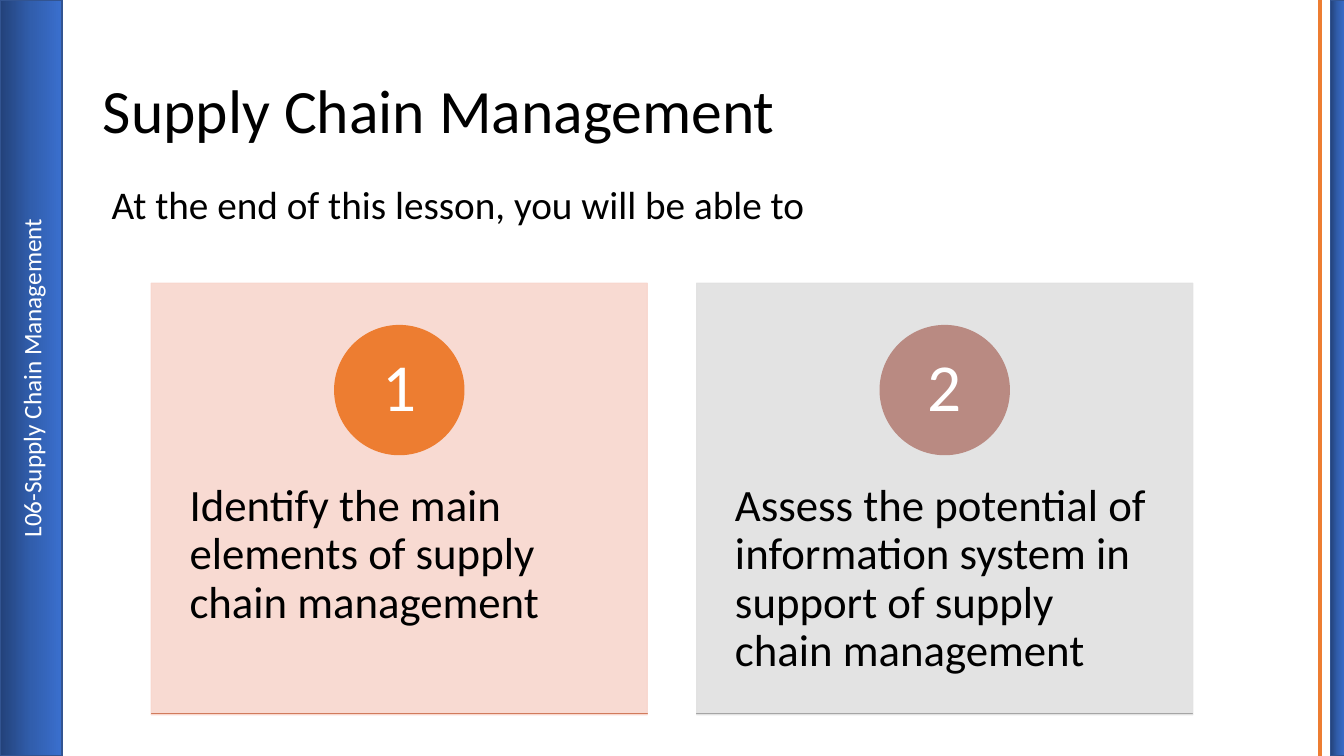
"""Build the Supply Chain Management lesson objectives slide."""
import copy

import pptx
import pptx.dml.color
import pptx.enum.shapes
import pptx.enum.text
import pptx.oxml
import pptx.oxml.ns
import pptx.util
from pptx.util import Inches

COLORS = {
    "black": "000000", "white": "FFFFFF", "orange": "ED7D31",
    "band_dark": "23427A", "band_mid": "315EAD", "band_light": "3A6FCE",
    "band_edge": "325491",
    "peach": "F8D7CE", "rust": "D17B5C",
    "silver": "E1E1E1", "rose": "B98A82", "gray": "A5A5A5",
}
SHAPE = pptx.enum.shapes.MSO_SHAPE
ANCHOR = pptx.enum.text.MSO_ANCHOR
ALIGN = pptx.enum.text.PP_ALIGN
qn = pptx.oxml.ns.qn


def add_block(kind, left, top, width, height, fill, edge):
    block = slide.shapes.add_shape(
        kind, Inches(left), Inches(top), Inches(width), Inches(height))
    block.shadow.inherit = False
    if fill:
        block.fill.solid()
        block.fill.fore_color.rgb = pptx.dml.color.RGBColor.from_string(COLORS[fill])
    block.line.color.rgb = pptx.dml.color.RGBColor.from_string(COLORS[edge])
    block.line.width = pptx.util.Pt(1)
    return block


def write(holder, words, size, color, align=ALIGN.LEFT, anchor=ANCHOR.TOP,
          insets=(0.1, 0.05), spacing=None):
    frame = holder.text_frame
    frame.word_wrap = True
    frame.vertical_anchor = anchor
    frame.margin_left = frame.margin_right = Inches(insets[0])
    frame.margin_top = frame.margin_bottom = Inches(insets[1])
    paragraph = frame.paragraphs[0]
    paragraph.alignment = align
    paragraph.line_spacing = spacing
    run = paragraph.add_run()
    run.text = words
    run.font.name = "Calibri"
    run.font.size = pptx.util.Pt(size)
    run.font.color.rgb = pptx.dml.color.RGBColor.from_string(COLORS[color])


deck = pptx.Presentation()
deck.slide_width, deck.slide_height = Inches(13.33), Inches(7.5)
slide = deck.slides.add_slide(deck.slide_layouts[5])

accent_rule = slide.shapes.add_connector(
    pptx.enum.shapes.MSO_CONNECTOR.STRAIGHT,
    Inches(13.09), Inches(0), Inches(13.09), Inches(7.5))
accent_rule.line.color.rgb = pptx.dml.color.RGBColor.from_string(COLORS["orange"])
accent_rule.line.width = pptx.util.Pt(3)
accent_rule._element.spPr.append(pptx.oxml.parse_xml(
    f'<a:effectLst {pptx.oxml.ns.nsdecls("a")}/>'))

for center, thickness, label in [(13.27, 0.15, None),
                                 (0.31, 0.61, "L06-Supply Chain Management")]:
    band = add_block(SHAPE.RECTANGLE, center - 3.75, 3.75 - thickness / 2,
                     7.5, thickness, None, "band_edge")
    band.rotation = 270
    band.fill.gradient()
    band.fill.gradient_angle = 270
    stop_list = band._element.spPr.find(qn("a:gradFill")).find(qn("a:gsLst"))
    stop_list.insert(1, copy.deepcopy(stop_list[0]))
    for stop, position, shade in zip(band.fill.gradient_stops, (0, 0.5, 1),
                                     ("band_dark", "band_mid", "band_light")):
        stop.position = position
        stop.color.rgb = pptx.dml.color.RGBColor.from_string(COLORS[shade])
    if label:
        write(band, label, 18, "white", ALIGN.CENTER, ANCHOR.MIDDLE)

title = slide.shapes.title
title.left, title.top = Inches(0.92), Inches(0.4)
title.width, title.height = Inches(11.5), Inches(1.45)
write(title, "Supply Chain Management", 44, "black",
      anchor=ANCHOR.MIDDLE, spacing=0.9)

objectives = [
    ("Identify the main elements of supply chain management",
     "peach", "orange", "rust"),
    ("Assess the potential of information system in support of supply chain management",
     "silver", "rose", "gray"),
]
card_width, badge_size = 4.92, 1.28
for index, (objective, card_color, badge_color, base_color) in enumerate(objectives):
    left = 1.5 + index * 5.41
    card = add_block(SHAPE.RECTANGLE, left, 2.81, card_width, 4.28,
                     card_color, card_color)
    for tint in card._element.spPr.iter(qn("a:srgbClr")):
        tint.append(pptx.oxml.parse_xml(
            f'<a:alpha {pptx.oxml.ns.nsdecls("a")} val="90000"/>'))
    statement = slide.shapes.add_textbox(
        Inches(left), Inches(4.43), Inches(card_width), Inches(2.57))
    write(statement, objective, 32, "black", insets=(0.38, 0.36), spacing=0.9)
    badge = add_block(SHAPE.OVAL, left + (card_width - badge_size) / 2, 3.23,
                      badge_size, badge_size, badge_color, badge_color)
    write(badge, str(index + 1), 48, "white", ALIGN.CENTER, ANCHOR.MIDDLE,
          (0.1, 0.01), 0.9)
    add_block(SHAPE.RECTANGLE, left, 7.08, card_width, 0, base_color, base_color)

lead_in = slide.shapes.add_textbox(
    Inches(1.01), Inches(1.74), Inches(8.2), Inches(0.57))
write(lead_in, "At the end of this lesson, you will be able to", 28, "black")

deck.save("out.pptx")
